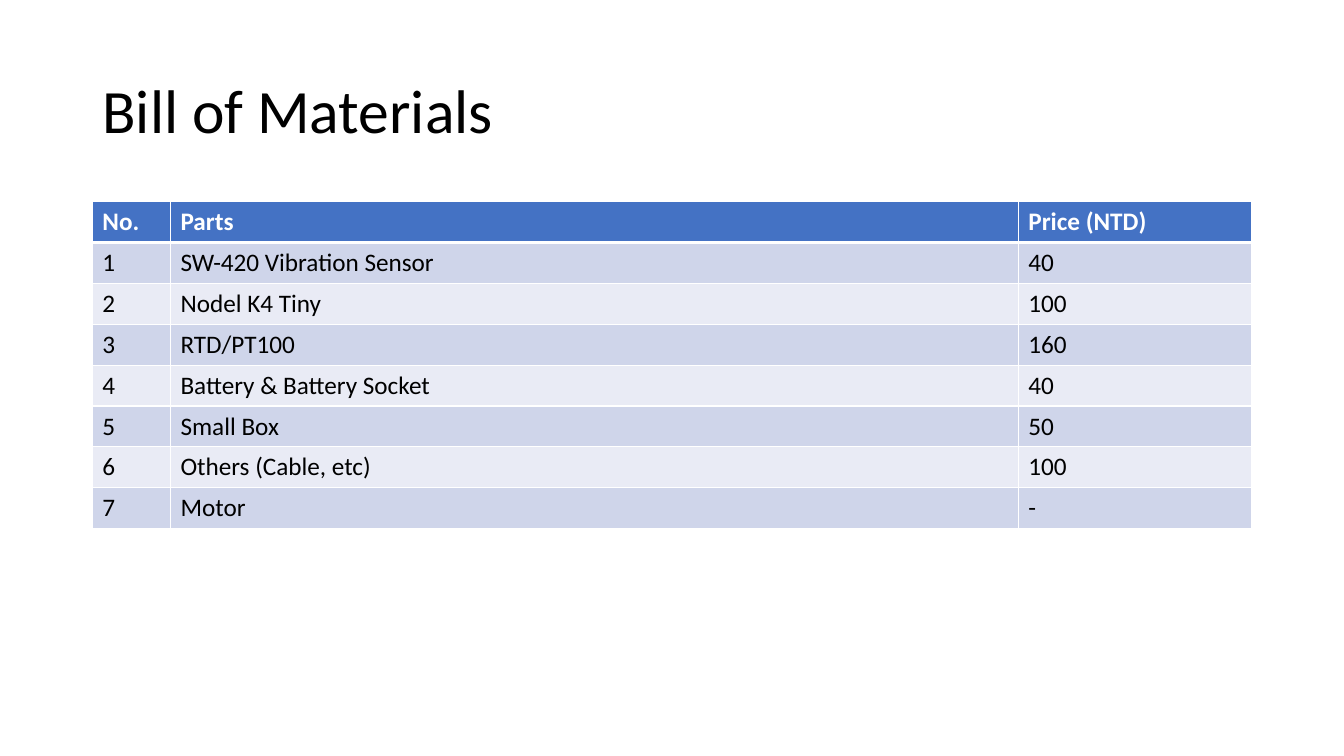
"""Build the bill of materials slide."""
from lxml.etree import SubElement
from pptx import Presentation
from pptx.dml.color import RGBColor
from pptx.enum.text import MSO_ANCHOR, PP_ALIGN
from pptx.oxml.ns import qn
from pptx.util import Pt

HEADING = "Bill of Materials"
COLUMNS = ("No.", "Parts", "Price (NTD)")
PARTS = [
    ("SW-420 Vibration Sensor", "40"),
    ("Nodel K4 Tiny", "100"),
    ("RTD/PT100", "160"),
    ("Battery & Battery Socket", "40"),
    ("Small Box", "50"),
    ("Others (Cable, etc)", "100"),
    ("Motor", "-"),
]

FONT = "Calibri"
BLACK = RGBColor(0x00, 0x00, 0x00)
WHITE = RGBColor(0xFF, 0xFF, 0xFF)
HEADER_BLUE = RGBColor(0x44, 0x72, 0xC4)
BANDS = (RGBColor(0xE9, 0xEB, 0xF5), RGBColor(0xCF, 0xD5, 0xEA))

LEFT, WIDTH = 66, 828
TITLE_TOP, TITLE_HEIGHT = 28.75, 104.4
TABLE_TOP, ROW_HEIGHT = 144, 29.2
COLUMN_WIDTHS = (55.8, 605.6, 166.6)


def style_font(font, size, color, bold=False):
    font.name = FONT
    font.size = Pt(size)
    font.bold = bold
    font.color.rgb = color


def add_borders(cell, widths):
    properties = cell._tc.get_or_add_tcPr()
    for side, width in widths.items():
        line = SubElement(properties, qn(f"a:ln{side}"), w=str(Pt(width)))
        fill = SubElement(line, qn("a:solidFill"))
        SubElement(fill, qn("a:srgbClr"), val=str(WHITE))


def add_heading(slide):
    title = slide.shapes.title
    title.left, title.top = Pt(LEFT), Pt(TITLE_TOP)
    title.width, title.height = Pt(WIDTH), Pt(TITLE_HEIGHT)
    title.text_frame.text = HEADING
    title.text_frame.vertical_anchor = MSO_ANCHOR.MIDDLE
    paragraph = title.text_frame.paragraphs[0]
    paragraph.alignment = PP_ALIGN.LEFT
    paragraph.line_spacing = 0.9
    style_font(paragraph.font, 44, BLACK)


def add_parts_table(slide):
    rows = [COLUMNS] + [(str(number), *part) for number, part in enumerate(PARTS, 1)]
    table = slide.shapes.add_table(
        len(rows), len(COLUMNS), Pt(LEFT), Pt(TABLE_TOP),
        Pt(WIDTH), Pt(ROW_HEIGHT * len(rows))).table
    for column, width in zip(table.columns, COLUMN_WIDTHS):
        column.width = Pt(width)
    for row_index, values in enumerate(rows):
        table.rows[row_index].height = Pt(ROW_HEIGHT)
        is_header = row_index == 0
        borders = {"L": 1, "R": 1, "T": 3 if row_index == 1 else 1, "B": 3 if is_header else 1}
        for column_index, value in enumerate(values):
            cell = table.cell(row_index, column_index)
            add_borders(cell, borders)
            cell.fill.solid()
            cell.fill.fore_color.rgb = HEADER_BLUE if is_header else BANDS[row_index % 2]
            cell.text = value
            style_font(cell.text_frame.paragraphs[0].font, 18,
                       WHITE if is_header else BLACK, is_header)


def main():
    deck = Presentation()
    deck.slide_width, deck.slide_height = Pt(960), Pt(540)
    slide = deck.slides.add_slide(deck.slide_layouts[5])
    add_heading(slide)
    add_parts_table(slide)
    deck.save("out.pptx")


if __name__ == "__main__":
    main()
